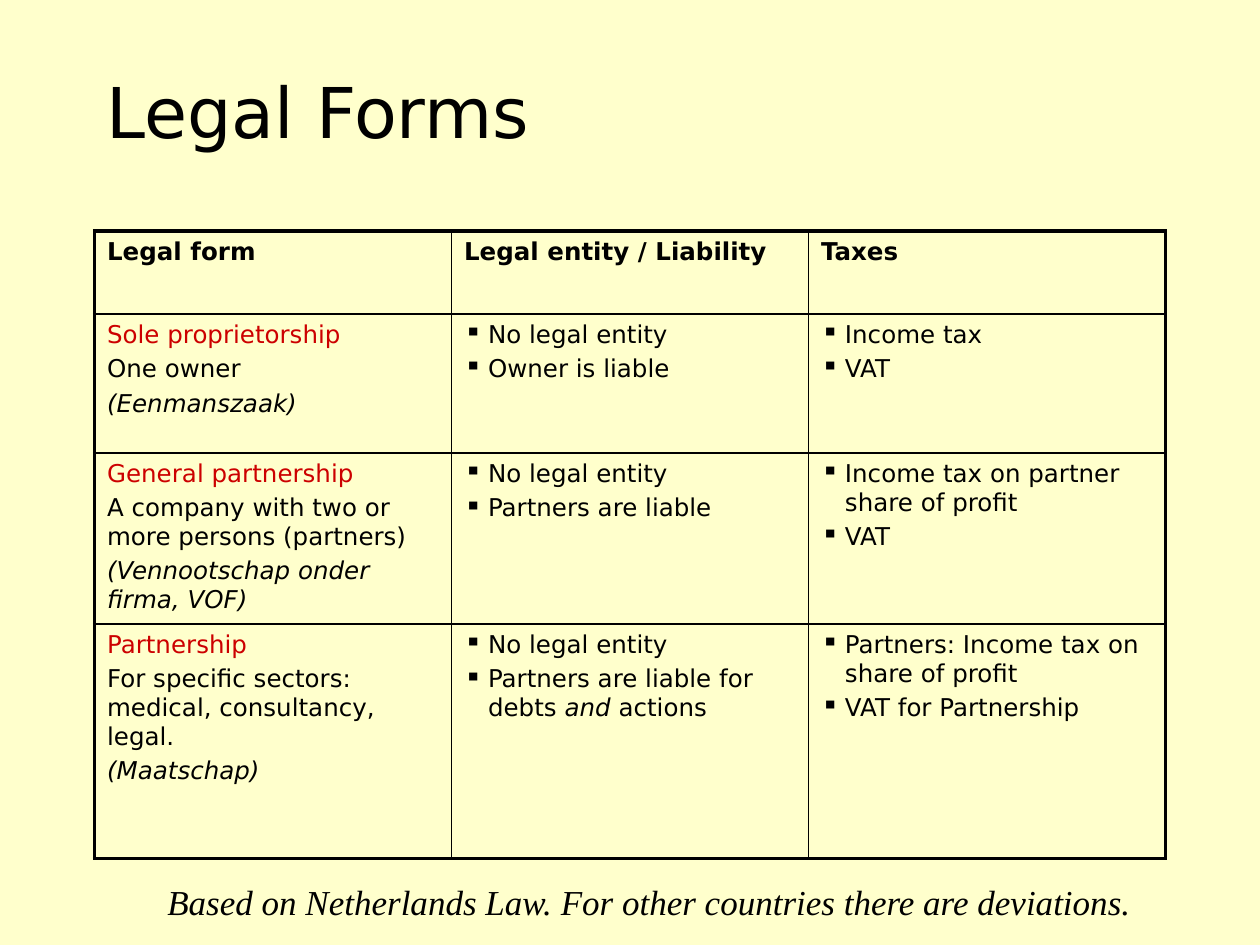
from lxml import etree
from pptx import Presentation
from pptx import util as u
from pptx.dml.color import RGBColor
from pptx.enum import text
from pptx.oxml.ns import qn

SANS, SERIF = "DejaVu Sans", "Times New Roman"
BLACK, RED, CREAM = "000000", "CC0000", "FFFFCC"
THIN, THICK = 1, 2.25
COLUMN_WIDTH = 204
ROW_HEIGHTS = [47.5, 79.5, 97, 134]

HEADINGS = ["Legal form", "Legal entity / Liability", "Taxes"]
# Each row: name, description, Dutch name; liability points; tax points.
# A point is a string, or a list of strings in which every second one is italic.
FORMS = [
    (("Sole proprietorship", "One owner", "(Eenmanszaak)"),
     ["No legal entity", "Owner is liable"],
     ["Income tax", "VAT"]),
    (("General partnership", "A company with two or more persons (partners)",
      "(Vennootschap onder firma, VOF)"),
     ["No legal entity", "Partners are liable"],
     ["Income tax on partner share of profit", "VAT"]),
    (("Partnership", "For specific sectors: medical, consultancy, legal.",
      "(Maatschap)"),
     ["No legal entity", ["Partners are liable for debts ", "and", " actions"]],
     ["Partners: Income tax on share of profit", "VAT for Partnership"]),
]


def color(value):
    return RGBColor.from_string(value)


def set_font(font, size, name=SANS, fill=BLACK, bold=False, italic=False):
    font.size, font.name = u.Pt(size), name
    font.bold, font.italic = bold, italic
    font.color.rgb = color(fill)


def add_text(page, left, top, width, height, words, anchor, **style):
    box = page.shapes.add_textbox(*map(u.Pt, (left, top, width, height)))
    frame = box.text_frame
    frame.word_wrap = True
    frame.vertical_anchor = anchor
    para = frame.paragraphs[0]
    para.text = words
    set_font(para.font, **style)


def add_bullet(para):
    props = para._p.get_or_add_pPr()
    props.set("marL", str(u.Pt(13.7)))
    props.set("indent", str(-u.Pt(13.7)))
    shade = etree.SubElement(props, qn("a:buClr"))
    etree.SubElement(shade, qn("a:srgbClr"), val=BLACK)
    etree.SubElement(props, qn("a:buChar"), char="▪")


def add_paragraph(cell, index, words, bullet=False, **style):
    frame = cell.text_frame
    para = frame.add_paragraph() if index else frame.paragraphs[0]
    if bullet:
        add_bullet(para)
    set_font(para.font, 14, **style)
    if index:
        para.space_before = u.Pt(3.2)
    pieces = [words] if isinstance(words, str) else words
    for number, piece in enumerate(pieces):
        span = para.add_run()
        span.text = piece
        if number % 2:
            span.font.italic = True


def set_borders(cell, widths):
    props = cell._tc.get_or_add_tcPr()
    for position, (side, width) in enumerate(widths.items()):
        line = etree.Element(qn("a:" + side), w=str(u.Pt(width)))
        fill = etree.SubElement(line, qn("a:solidFill"))
        etree.SubElement(fill, qn("a:srgbClr"), val=BLACK)
        props.insert(position, line)


def add_grid(page):
    rows, columns = len(ROW_HEIGHTS), len(HEADINGS)
    table = page.shapes.add_table(
        rows, columns, u.Pt(54), u.Pt(132),
        u.Pt(COLUMN_WIDTH * columns), u.Pt(sum(ROW_HEIGHTS))).table
    table.first_row = table.horz_banding = False
    for column in table.columns:
        column.width = u.Pt(COLUMN_WIDTH)
    for row, height in zip(table.rows, ROW_HEIGHTS):
        row.height = u.Pt(height)

    # Thick outer frame, thin inner lines
    for r in range(rows):
        for c in range(columns):
            cell = table.cell(r, c)
            cell.fill.background()
            set_borders(cell, {
                "lnL": THICK if c == 0 else THIN,
                "lnR": THICK if c == columns - 1 else THIN,
                "lnT": THICK if r == 0 else THIN,
                "lnB": THICK if r == rows - 1 else THIN})
    return table


def fill_grid(table):
    for c, heading in enumerate(HEADINGS):
        add_paragraph(table.cell(0, c), 0, heading, bold=True)
    name_styles = [{"fill": RED}, {}, {"italic": True}]
    for r, (names, *point_lists) in enumerate(FORMS, 1):
        for index, (words, style) in enumerate(zip(names, name_styles)):
            add_paragraph(table.cell(r, 0), index, words, **style)
        for c, points in enumerate(point_lists, 1):
            for index, words in enumerate(points):
                add_paragraph(table.cell(r, c), index, words, bullet=True)


def main():
    deck = Presentation()
    deck.slide_width, deck.slide_height = u.Pt(720), u.Pt(540)
    page = deck.slides.add_slide(deck.slide_layouts[6])

    # Background
    page.background.fill.solid()
    page.background.fill.fore_color.rgb = color(CREAM)

    # Title
    add_text(page, 54, 18, 582, 90, "Legal Forms",
             text.MSO_ANCHOR.MIDDLE, size=40)

    # Table of legal forms
    fill_grid(add_grid(page))

    # Footnote
    add_text(page, 88.5, 499.5, 567, 31,
             "Based on Netherlands Law. For other countries there are deviations.",
             text.MSO_ANCHOR.TOP, size=20, name=SERIF, italic=True)

    deck.save("out.pptx")


if __name__ == "__main__":
    main()
